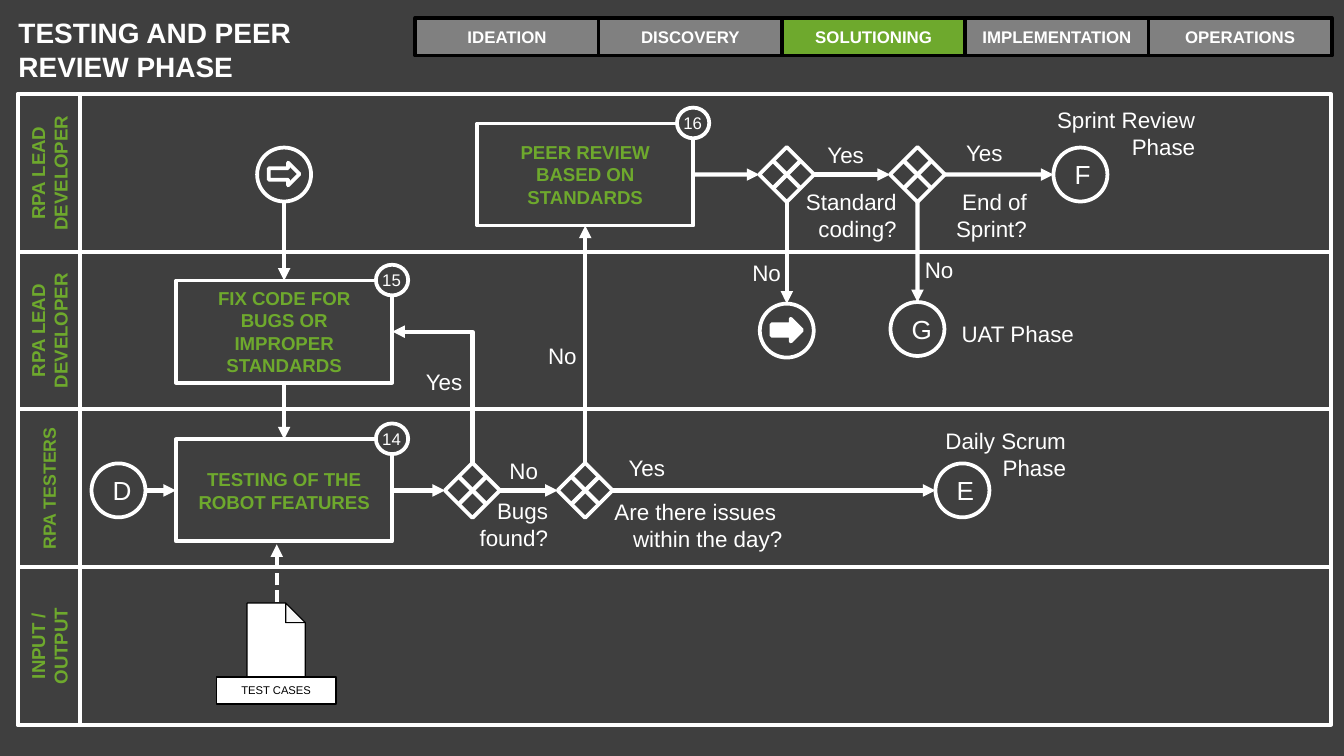
from lxml import etree
from pptx import Presentation
from pptx import util as u
from pptx.dml import color
from pptx.enum import dml, shapes, text
from pptx.oxml import ns

WHITE, BLACK, GREEN, GRAY, DARK = "FFFFFF", "000000", "6EA92D", "808080", "3F3F3F"
KIND = shapes.MSO_SHAPE
TOP, LEFT, BOTTOM, RIGHT = range(4)


def rgb(value):
    return color.RGBColor.from_string(value)


def lengths(box):
    return [u.Cm(value) for value in box]


def centered(x, y, width, height):
    return x - width / 2, y - height / 2, width, height


def write(shape, content, size, hue=WHITE, bold=False, align="CENTER"):
    frame = shape.text_frame
    frame.text = content
    font_format = {"name": "Arial", "size": u.Pt(size), "bold": bold}
    for paragraph in frame.paragraphs:
        paragraph.alignment = text.PP_ALIGN[align]
        for run in paragraph.runs:
            for key, value in font_format.items():
                setattr(run.font, key, value)
            run.font.color.rgb = rgb(hue)


def paint(shape, fill=None, line=WHITE, width=2):
    shape.shadow.inherit = False
    if fill:
        shape.fill.solid()
        shape.fill.fore_color.rgb = rgb(fill)
    else:
        shape.fill.background()
    shape.line.color.rgb = rgb(line)
    shape.line.width = u.Pt(width)
    return shape


def add_shape(slide, kind, box, **style):
    return paint(slide.shapes.add_shape(kind, *lengths(box)), **style)


def add_label(slide, box, content, size=12, bold=False, align="RIGHT"):
    shape = slide.shapes.add_textbox(*lengths(box))
    shape.text_frame.word_wrap = False
    write(shape, content, size, bold=bold, align=align)
    return shape


def style_connector(connector, arrow=None):
    connector.line.color.rgb = rgb(WHITE)
    connector.line.width = u.Pt(2.25)
    properties = connector._element.spPr
    if arrow:
        line = properties.find(ns.qn("a:ln"))
        etree.SubElement(line, ns.qn("a:" + arrow), type="triangle")
    etree.SubElement(properties, ns.qn("a:effectLst"))


def add_line(slide, start, end, arrow=None):
    connector = slide.shapes.add_connector(
        shapes.MSO_CONNECTOR.STRAIGHT, *lengths(start + end))
    style_connector(connector, arrow)
    return connector


def side_point(shape, side):
    across, down = [(0.5, 0), (0, 0.5), (0.5, 1), (1, 0.5)][side]
    return (u.Emu(int(shape.left + shape.width * across)),
            u.Emu(int(shape.top + shape.height * down)))


def connect(slide, begin, begin_side, end, end_side, elbow=False):
    kind = shapes.MSO_CONNECTOR.ELBOW if elbow else shapes.MSO_CONNECTOR.STRAIGHT
    connector = slide.shapes.add_connector(
        kind, *side_point(begin, begin_side), *side_point(end, end_side))
    if begin.auto_shape_type != KIND.OVAL:
        connector.begin_connect(begin, begin_side)
    if end.auto_shape_type != KIND.OVAL:
        connector.end_connect(end, end_side)
    if elbow:
        geometry = connector._element.spPr.find(ns.qn("a:prstGeom"))
        geometry.set("prst", "bentConnector2")
    style_connector(connector, "headEnd" if elbow else "tailEnd")


def add_phase_bar(slide, box, names, current):
    left, top, width, height = box
    pitch = width / len(names)
    for index, name in enumerate(names):
        cell = (left + index * pitch, top, pitch, height)
        fill = GREEN if name == current else GRAY
        shape = add_shape(slide, KIND.RECTANGLE, cell, fill=fill, line=BLACK)
        write(shape, name, 9, bold=True)


def add_lanes(slide, box, names):
    left, top, width, height = box
    pitch, header = height / len(names), 1.17
    for index, (name, size) in enumerate(names):
        lane_top = top + index * pitch
        add_shape(slide, KIND.RECTANGLE, (left, lane_top, width, pitch))
        middle = left + header / 2, lane_top + pitch / 2
        title = add_shape(slide, KIND.RECTANGLE, centered(*middle, pitch, header))
        title.rotation = 270
        write(title, name, size, GREEN, True)


def add_step(slide, box, name, number):
    left, top, width, height = box
    shape = add_shape(slide, KIND.RECTANGLE, box)
    write(shape, name, 10, GREEN, True)
    corner = left + width - 0.31, top - 0.3
    add_shape(slide, KIND.OVAL, (*corner, 0.61, 0.58), fill=DARK)
    add_label(slide, (corner[0] - 0.13, corner[1] - 0.03, 0.86, 0.64), number, 9, align="LEFT")
    return shape


def add_decision(slide, box):
    left, top, width, height = box
    shape = add_shape(slide, KIND.FLOWCHART_DECISION, box)
    near, far = 0.25, 0.75
    for start, end in ((near, far), (far, near)):
        add_line(slide, (left + near * width, top + start * height),
                 (left + far * width, top + end * height))
    return shape


def add_circle(slide, box, letter=""):
    shape = add_shape(slide, KIND.OVAL, box)
    if letter:
        write(shape, letter, 14)
    return shape


def add_arrow_circle(slide, box, fill=None):
    left, top, width, height = box
    shape = add_circle(slide, box)
    arrow = centered(left + width / 2, top + height / 2 - 0.01, 0.58, 0.43)
    add_shape(slide, KIND.RIGHT_ARROW, arrow, fill=fill)
    return shape


def add_document(slide, box, name):
    left, top, width, height = box
    page_left, page_right, page_bottom = left + 0.58, left + 1.68, top + 1.48
    fold_left, fold_bottom = page_right - 0.37, top + 0.37
    crease = [(fold_left, top), (page_right, fold_bottom)]
    page = crease + [(page_right, page_bottom), (page_left, page_bottom), (page_left, top)]
    fold = crease + [(fold_left, fold_bottom)]
    for points, fill in ((page, WHITE), (fold, "F8F8F8")):
        start, *others = [lengths(point) for point in points]
        builder = slide.shapes.build_freeform(*start)
        builder.add_line_segments(others, close=True)
        paint(builder.convert_to_shape(), fill, BLACK, 0.63)
    caption_box = (left, top + height - 0.51, width, 0.51)
    caption = add_shape(slide, KIND.RECTANGLE, caption_box, fill=WHITE, line=BLACK, width=0.75)
    caption.text_frame.vertical_anchor = text.MSO_ANCHOR.TOP
    write(caption, name, 6, BLACK)


def add_flow(slide):
    upper, lower = 3.3, 9.27
    testing, fixing, review = [
        add_step(slide, centered(x, y, 4.09, 1.93), name, number) for x, y, name, number in (
            (5.37, lower, "TESTING OF THE ROBOT FEATURES", "14"),
            (5.37, 6.27, "FIX CODE FOR BUGS OR IMPROPER STANDARDS", "15"),
            (11.06, upper, "PEER REVIEW BASED ON STANDARDS", "16"))]
    bugs, issues, coding, sprint = [
        add_decision(slide, centered(x, y, 1.04, 1.04)) for x, y in (
            (8.93, lower), (11.06, lower), (14.87, upper), (17.34, upper))]
    start, scrum, sprint_review, uat = [
        add_circle(slide, centered(x, y, 1.02, 1.02), letter) for x, y, letter in (
            (2.24, lower, "D"), (18.19, lower, "E"), (20.42, upper, "F"), (17.34, 6.22, "G"))]
    entry = add_arrow_circle(slide, centered(5.37, upper, 1.02, 1.02))
    rework = add_arrow_circle(slide, centered(14.87, 6.25, 1.02, 1.02), WHITE)

    for begin, end in ((start, testing), (testing, bugs), (bugs, issues), (issues, scrum),
                       (review, coding), (coding, sprint), (sprint, sprint_review)):
        connect(slide, begin, RIGHT, end, LEFT)
    for begin, end in ((entry, fixing), (fixing, testing), (coding, rework), (sprint, uat)):
        connect(slide, begin, BOTTOM, end, TOP)
    connect(slide, issues, TOP, review, BOTTOM)
    connect(slide, fixing, RIGHT, bugs, TOP, elbow=True)


def add_flow_labels(slide):
    for left, top, width, content in (
            (8.81, 9.27, 1.8, "Bugs\nfound?"), (11.33, 9.3, 3.71, "Are there issues \nwithin the day?"),
            (17.58, 7.95, 2.82, "Daily Scrum\nPhase"), (14.96, 3.43, 2.24, "Standard\ncoding?"),
            (17.81, 3.43, 1.85, "End of\nSprint?"), (19.69, 1.88, 3.15, "Sprint Review\nPhase"),
            (17.86, 5.92, 2.69, "UAT Phase"), (7.75, 6.83, 1.24, "Yes"), (11.58, 8.46, 1.24, "Yes"),
            (15.34, 2.54, 1.24, "Yes"), (17.96, 2.51, 1.24, "Yes"), (9.35, 8.51, 1.07, "No"),
            (10.08, 6.35, 1.07, "No"), (13.94, 4.78, 1.07, "No"), (17.2, 4.72, 1.07, "No")):
        add_label(slide, (left, top, width, 1.27 if "\n" in content else 0.76), content)


def main():
    presentation = Presentation()
    presentation.slide_width, presentation.slide_height = u.Cm(25.4), u.Cm(14.29)
    slide = presentation.slides.add_slide(presentation.slide_layouts[6])
    slide.background.fill.solid()
    slide.background.fill.fore_color.rgb = rgb(DARK)

    phases = ("IDEATION", "DISCOVERY", "SOLUTIONING", "IMPLEMENTATION", "OPERATIONS")
    add_phase_bar(slide, (7.85, 0.34, 17.32, 0.71), phases, "SOLUTIONING")
    add_lanes(slide, (0.34, 1.78, 24.82, 11.92), (
        ("RPA LEAD DEVELOPER", 10), ("RPA LEAD DEVELOPER", 10),
        ("RPA TESTERS", 9.5), ("INPUT / OUTPUT", 10)))
    title = add_label(slide, (0.1, 0.05, 8.15, 1.6), "TESTING AND PEER\nREVIEW PHASE", 15, True, "LEFT")
    title.text_frame.word_wrap = True
    title.text_frame.margin_top = u.Cm(0.25)
    add_document(slide, (4.09, 11.4, 2.26, 1.91), "TEST CASES")
    feed = add_line(slide, (5.23, 11.38), (5.23, 10.29), "tailEnd")
    feed.line.dash_style = dml.MSO_LINE.SQUARE_DOT
    add_flow(slide)
    add_flow_labels(slide)
    presentation.save("out.pptx")


if __name__ == "__main__":
    main()
